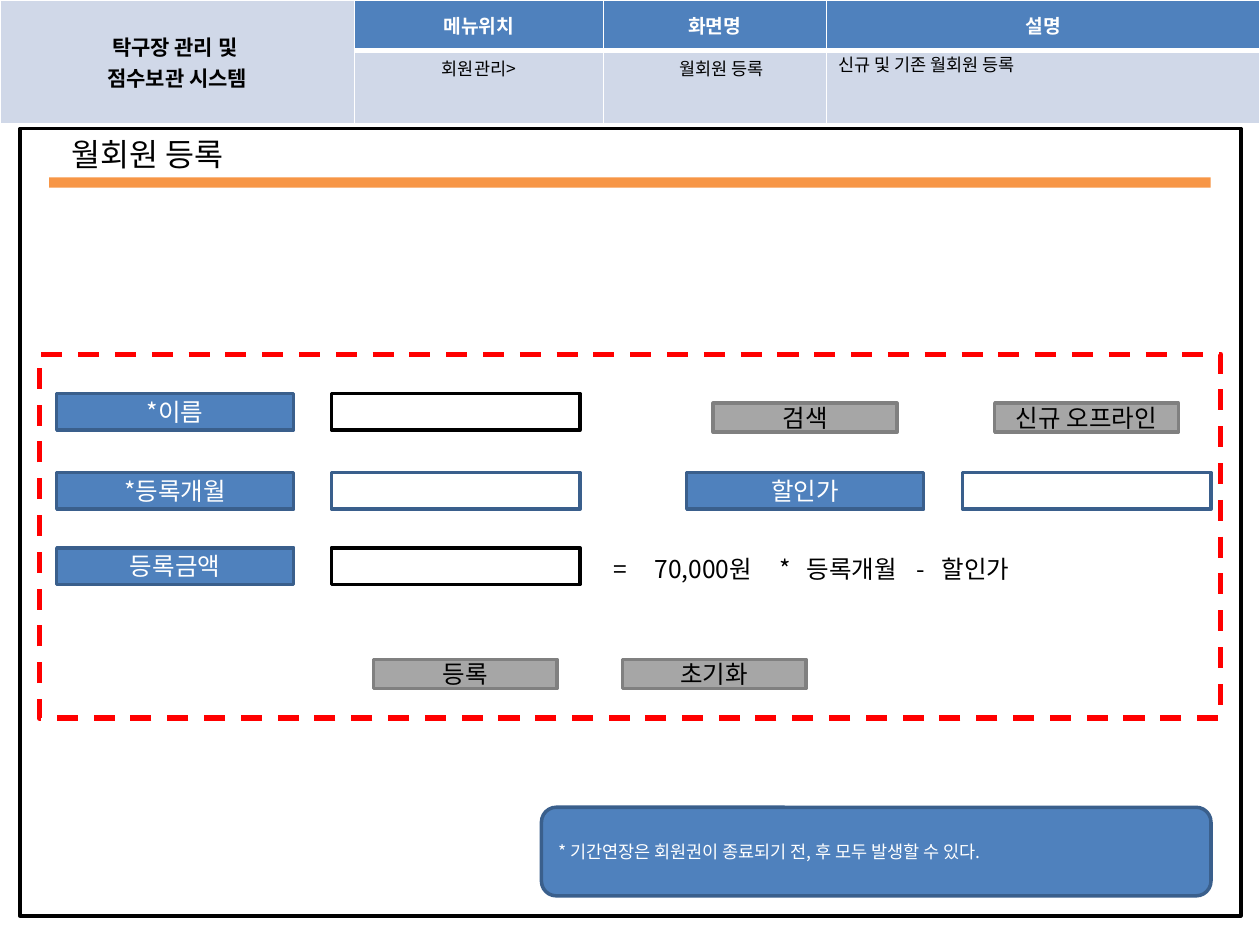
import pptx
import pptx.util
import pptx.dml.color
import pptx.enum.dml
import pptx.enum.shapes
import pptx.enum.text
import pptx.oxml
import pptx.oxml.ns

Pt = pptx.util.Pt
SHAPE = pptx.enum.shapes.MSO_SHAPE
ALIGN = pptx.enum.text.PP_ALIGN
ANCHOR = pptx.enum.text.MSO_ANCHOR
NS = pptx.oxml.ns.nsdecls("a")
FONT = "Noto Sans CJK KR"
BLUE, DARK_BLUE, PALE_BLUE = "4F81BD", "3A5F8C", "D0D8E8"
GRAY, DARK_GRAY, BLACK, WHITE = "A6A6A6", "808080", "000000", "FFFFFF"
LABEL_W, FIELD_W, FIELD_H = 135.4, 142, 21
BUTTON_W, BUTTON_H = 105, 16.6


def rgb(color):
    return pptx.dml.color.RGBColor.from_string(color)


def write(p, text, size, color, align=ALIGN.LEFT, bold=False):
    p.alignment = align
    r = p.add_run()
    r.text = text
    r.font.size = Pt(size)
    r.font.bold = bold
    r.font.name = FONT
    r.font.color.rgb = rgb(color)
    r.font._element.append(pptx.oxml.parse_xml(f'<a:ea {NS} typeface="{FONT}"/>'))


def add_text(s, x, y, w, h, text, size, align=ALIGN.LEFT):
    tf = s.shapes.add_textbox(Pt(x), Pt(y), Pt(w), Pt(h)).text_frame
    tf.word_wrap = True
    write(tf.paragraphs[0], text, size, BLACK, align)
    return tf


def add_box(s, x, y, w, h, fill=None, line=None, width=2, kind=SHAPE.RECTANGLE):
    sp = s.shapes.add_shape(kind, Pt(x), Pt(y), Pt(w), Pt(h))
    sp.shadow.inherit = False
    if fill:
        sp.fill.solid()
        sp.fill.fore_color.rgb = rgb(fill)
    else:
        sp.fill.background()
    if line:
        sp.line.color.rgb = rgb(line)
        sp.line.width = Pt(width)
    else:
        sp.line.fill.background()
    return sp


def caption(sp, text, size, color, align=ALIGN.CENTER):
    tf = sp.text_frame
    tf.word_wrap = True
    tf.vertical_anchor = ANCHOR.MIDDLE
    write(tf.paragraphs[0], text, size, color, align)


def add_label(s, x, y, text):
    caption(add_box(s, x, y, LABEL_W, FIELD_H, BLUE, DARK_BLUE), text, 14, WHITE)


def add_button(s, x, y, text):
    caption(add_box(s, x, y, BUTTON_W, BUTTON_H, GRAY, DARK_GRAY), text, 14, BLACK)


def style_cell(cell, fill, bottom):
    tcPr = cell._tc.get_or_add_tcPr()
    for side, width in zip("LRTB", (1, 1, 1, bottom)):
        tcPr.append(pptx.oxml.parse_xml(
            f'<a:ln{side} {NS} w="{Pt(width)}"><a:solidFill>'
            f'<a:srgbClr val="{WHITE}"/></a:solidFill></a:ln{side}>'))
    cell.fill.solid()
    cell.fill.fore_color.rgb = rgb(fill)
    cell.vertical_anchor = ANCHOR.MIDDLE


def header_table(s, x, y, w, h):
    table = s.shapes.add_table(2, 4, Pt(x), Pt(y), Pt(w), Pt(h)).table
    table.horz_banding = False
    for col, width in zip(table.columns, (202.5, 142.3, 127.5, 247.7)):
        col.width = Pt(width)
    for row in table.rows:
        row.height = Pt(h / 2)
    for i in range(2):
        for j in range(4):
            header = i == 0 and j > 0
            style_cell(table.cell(i, j), BLUE if header else PALE_BLUE, 3 if header else 1)
    title = table.cell(0, 0)
    title.merge(table.cell(1, 0))
    tf = title.text_frame
    write(tf.paragraphs[0], "탁구장 관리 및 ", 12, BLACK, ALIGN.CENTER, True)
    write(tf.add_paragraph(), "점수보관 시스템", 12, BLACK, ALIGN.CENTER, True)
    for j, text in enumerate(("메뉴위치", "화면명", "설명"), 1):
        p = table.cell(0, j).text_frame.paragraphs[0]
        write(p, text, 11, WHITE, ALIGN.CENTER, True)

    add_text(s, x + 202.5, y + 29.5, 142.3, 19.4, "회원관리>", 10, ALIGN.CENTER)
    add_text(s, x + 352.5, y + 29.5, 120, 19.4, "월회원 등록", 10, ALIGN.CENTER)
    add_text(s, x + 472.3, y + 27.4, 247.7, 31.7, "신규 및 기존 월회원 등록", 10)


def page_frame(s, x, y, w, h):
    add_box(s, x, y, w, h, line=BLACK)
    add_box(s, x + 16.6, y + 28, w - 33.9, 5.8, "F79646")
    add_text(s, x + 22.3, y, 247.7, 29, "월회원 등록", 18)


def price_formula(s, x, y, w, h):
    tf = add_text(s, x, y, w, h, "\t=\t70,000원\t*\t등록개월\t-\t할인가", 14)
    stops = "".join(f'<a:tab pos="{Pt(pos)}" algn="l"/>'
                    for pos in (11.5, 35, 106.5, 122, 184.5, 199))
    pPr = tf.paragraphs[0]._p.get_or_add_pPr()
    pPr.append(pptx.oxml.parse_xml(f'<a:tabLst {NS}>{stops}</a:tabLst>'))


def registration_form(s, x, y, w, h):
    label_x, field_x = x + 10, x + 167
    rows = (("*이름", 22.4, WHITE, BLACK),
            ("*등록개월", 67.6, None, DARK_BLUE),
            ("등록금액", 110.6, None, BLACK))
    for text, dy, fill, line in rows:
        add_label(s, label_x, y + dy, text)
        add_box(s, field_x, y + dy, FIELD_W, FIELD_H, fill, line)
    add_label(s, x + 370, y + 67.6, "할인가")
    add_box(s, x + 527.6, y + 67.6, FIELD_W, FIELD_H, line=DARK_BLUE)
    price_formula(s, x + 309.5, y + 110.6, 315.4, 24.3)
    for text, dx, dy in (("검색", 385.2, 28), ("신규 오프라인", 546, 28),
                         ("등록", 191, 174.4), ("초기화", 333.3, 174.4)):
        add_button(s, x + dx, y + dy, text)
    border = add_box(s, x, y, w, h, line="FF0000", width=3)
    border.line.dash_style = pptx.enum.dml.MSO_LINE.DASH


def note(s, x, y, w, h):
    sp = add_box(s, x, y, w, h, BLUE, DARK_BLUE, kind=SHAPE.ROUNDED_RECTANGLE)
    caption(sp, "* 기간연장은 회원권이 종료되기 전, 후 모두 발생할 수 있다.", 10, WHITE, ALIGN.LEFT)


def main():
    prs = pptx.Presentation()
    prs.slide_width, prs.slide_height = Pt(720), Pt(540)
    s = prs.slides.add_slide(prs.slide_layouts[6])
    header_table(s, 0, 0, 720, 57.6)
    page_frame(s, 11.4, 73.4, 697.7, 450)
    registration_form(s, 22.4, 202.4, 675.2, 208)
    note(s, 309.4, 461.3, 382.6, 50.6)
    prs.save("out.pptx")


if __name__ == "__main__":
    main()
